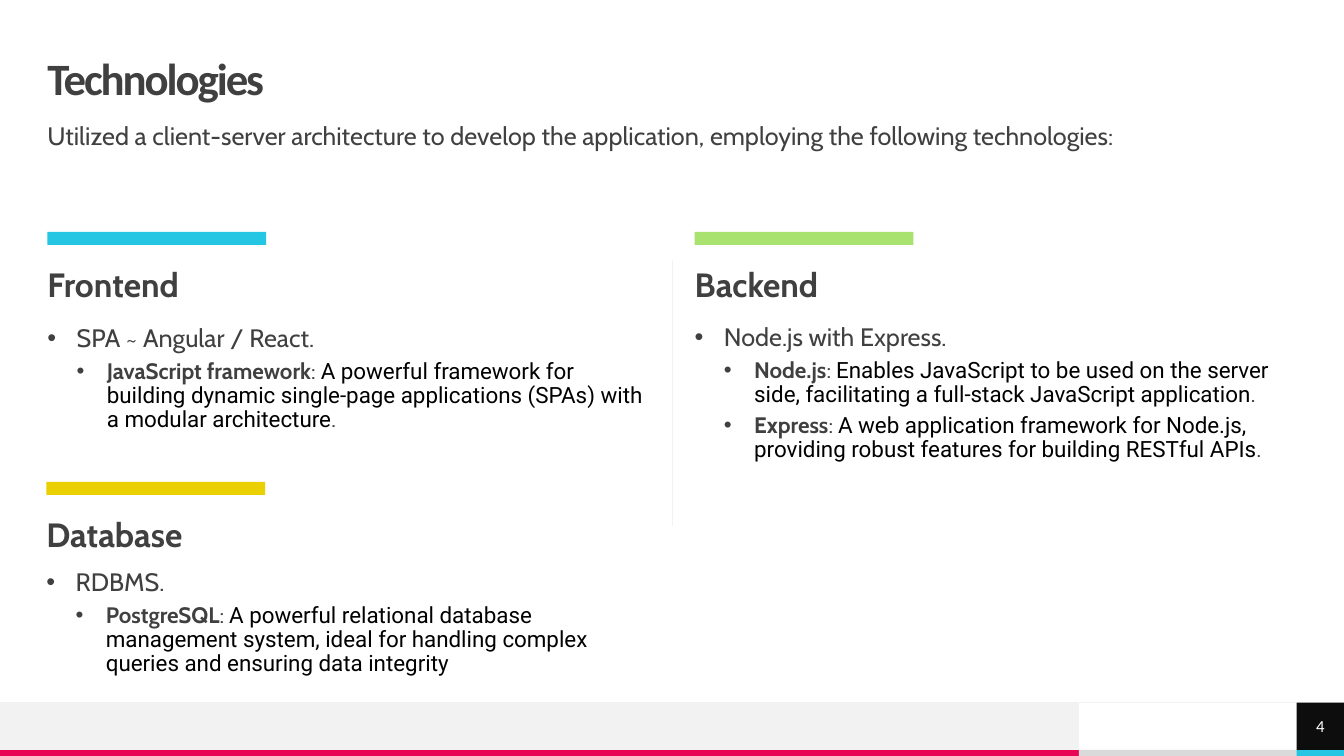
import pptx
import pptx.dml.color
import pptx.enum.shapes
import pptx.enum.text
import pptx.oxml.ns
import pptx.util
from lxml import etree
from pptx.util import Inches

INK, CYAN, PALE = "404040", "25C6E3", "F2F2F2"
MIDDLE = pptx.enum.text.MSO_ANCHOR.MIDDLE
ALIGN = pptx.enum.text.PP_ALIGN
FRONTEND = ("SPA ~ Angular / React.", [
    ("JavaScript framework", "A powerful framework for building dynamic single-page "
     "applications (SPAs) with a modular architecture", ".")])
BACKEND = ("Node.js with Express.", [
    ("Node.js", "Enables JavaScript to be used on the server side, "
     "facilitating a full-stack JavaScript application", "."),
    ("Express", "A web application framework for Node.js, "
     "providing robust features for building RESTful APIs", ".")])
DATABASE = ("RDBMS.", [
    ("PostgreSQL", "A powerful relational database management system, ideal for "
     "handling complex queries and ensuring data integrity", "")])


def rgb(value):
    """Turn a hex string into a colour."""
    return pptx.dml.color.RGBColor.from_string(value)


def set_font(font, size, color=INK, face="Cabin", bold=False):
    """Set size, colour, typeface and weight of a font."""
    font.size, font.name, font.bold = pptx.util.Pt(size), face, bold
    font.color.rgb = rgb(color)


def add_run(paragraph, text, size, **style):
    """Append a styled run and return it."""
    run = paragraph.add_run()
    run.text = text
    set_font(run.font, size, **style)
    return run


def set_frame(frame, anchor=pptx.enum.text.MSO_ANCHOR.TOP):
    """Remove the margins of a text frame and let it wrap."""
    frame.margin_left = frame.margin_top = frame.margin_right = frame.margin_bottom = 0
    frame.word_wrap = True
    frame.auto_size = pptx.enum.text.MSO_AUTO_SIZE.NONE
    frame.vertical_anchor = anchor


def add_frame(slide, left, top, width, height):
    """Add a text box without margins and return its frame."""
    box = slide.shapes.add_textbox(*map(Inches, (left, top, width, height)))
    set_frame(box.text_frame)
    return box.text_frame


def add_bar(slide, left, top, width, height, color):
    """Add a plain filled rectangle."""
    bar = slide.shapes.add_shape(pptx.enum.shapes.MSO_SHAPE.RECTANGLE,
                                 *map(Inches, (left, top, width, height)))
    bar.shadow.inherit = False
    bar.fill.solid()
    bar.fill.fore_color.rgb = rgb(color)
    bar.line.fill.background()
    return bar


def add_rule(slide, x1, y1, x2, y2):
    """Add a thin pale line."""
    rule = slide.shapes.add_connector(pptx.enum.shapes.MSO_CONNECTOR.STRAIGHT,
                                      *map(Inches, (x1, y1, x2, y2)))
    rule.line.color.rgb = rgb(PALE)
    rule.line.width = pptx.util.Pt(0.5)
    etree.SubElement(rule._element.spPr, pptx.oxml.ns.qn("a:effectLst"))


def space(paragraph, before):
    """Set tight line spacing and the gap above a paragraph."""
    paragraph.line_spacing = 0.9
    paragraph.space_before = pptx.util.Pt(before)


def add_line(frame, text, size, bold=False):
    """Write the first paragraph of a frame in one style."""
    paragraph = frame.paragraphs[0]
    paragraph.text = text
    space(paragraph, 10)
    set_font(paragraph.font, size, bold=bold)
    return paragraph


def set_bullet(paragraph, indent, hanging):
    """Give a paragraph a round bullet with a hanging indent."""
    properties = paragraph._p.get_or_add_pPr()
    properties.set("marL", str(Inches(indent)))
    properties.set("indent", str(-Inches(hanging)))
    defaults = properties.find(pptx.oxml.ns.qn("a:defRPr"))
    for tag, attributes in (("a:buFont", {"typeface": "Arial"}), ("a:buChar", {"char": "•"})):
        bullet = etree.Element(pptx.oxml.ns.qn(tag), attributes)
        if defaults is None:
            properties.append(bullet)
        else:
            defaults.addprevious(bullet)


def add_topic(slide, left, top, color, heading, content, text_top):
    """Add an accent bar, a heading and a bulleted list."""
    width = 5.98
    summary, details = content
    add_bar(slide, left, top, 2.17, 0.13, color)
    add_line(add_frame(slide, left, top + 0.36, width, 0.39), heading, 24, bold=True)
    frame = add_frame(slide, left, top + text_top, width, 0.6 + 0.6 * len(details))
    set_bullet(add_line(frame, summary, 18), 0.29, 0.29)
    for term, description, ending in details:
        paragraph = frame.add_paragraph()
        paragraph.level = 1
        space(paragraph, 5)
        set_bullet(paragraph, 0.59, 0.3)
        add_run(paragraph, term, 16, bold=True)
        add_run(paragraph, ": ", 16)
        add_run(paragraph, description, 16, color="000000", face="Roboto")
        if ending:
            add_run(paragraph, ending, 16)


def add_header(slide, left, top, width):
    """Place the title and the introduction below it."""
    title = slide.shapes.title
    title.left, title.top, title.width, title.height = map(Inches, (left, top, width, 0.47))
    set_frame(title.text_frame, MIDDLE)
    paragraph = title.text_frame.paragraphs[0]
    paragraph.alignment = ALIGN.LEFT
    paragraph.line_spacing = 0.9
    heading = add_run(paragraph, "Technologies", 32, face="Calibri", bold=True)
    heading._r.get_or_add_rPr().set("spc", "-150")
    add_line(add_frame(slide, left, top + 0.66, width, 0.39),
             "Utilized a client-server architecture to develop the application, "
             "employing the following technologies:", 18)


def add_footer(slide, top):
    """Add the footer band with the slide number."""
    for left, width, color in ((0, 10.7, "E80554"), (10.7, 2.17, "DADADA"),
                               (12.86, 0.47, CYAN)):
        add_bar(slide, left, top + 0.47, width, 0.06, color)
    add_bar(slide, 0, top, 10.7, 0.47, PALE)
    add_rule(slide, 13.33, top, 0, top)
    number = add_bar(slide, 12.86, top, 0.47, 0.47, "0D0D0D").text_frame
    set_frame(number, MIDDLE)
    paragraph = number.paragraphs[0]
    paragraph.text = "4"
    paragraph.alignment = ALIGN.CENTER
    set_font(paragraph.font, 12, color="FFFFFF", face="Calibri")


def main():
    """Build and save the technologies slide."""
    deck = pptx.Presentation()
    deck.slide_width, deck.slide_height = Inches(13.33), Inches(7.5)
    slide = deck.slides.add_slide(deck.slide_layouts[5])
    add_footer(slide, 6.97)
    add_header(slide, 0.47, 0.57, 12.4)
    add_topic(slide, 0.47, 2.3, CYAN, "Frontend", FRONTEND, 0.93)
    add_rule(slide, 6.67, 2.58, 6.67, 5.22)
    add_topic(slide, 6.89, 2.3, "A9E26F", "Backend", BACKEND, 0.92)
    add_topic(slide, 0.46, 4.78, "EAD000", "Database", DATABASE, 0.87)
    deck.save("out.pptx")


if __name__ == "__main__":
    main()
